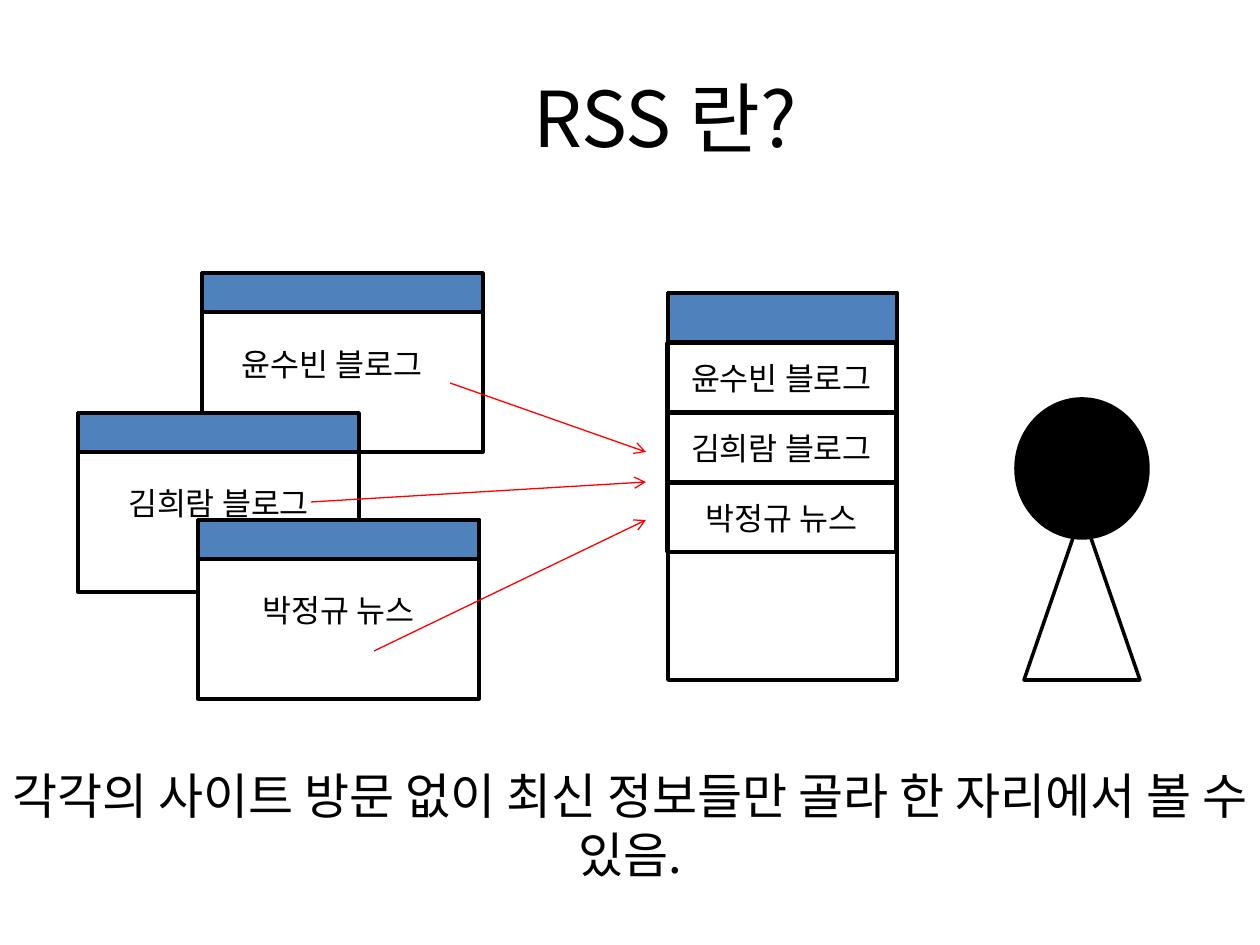
from lxml import etree
from pptx import Presentation
from pptx.dml.color import RGBColor
from pptx.enum.shapes import MSO_CONNECTOR, MSO_SHAPE
from pptx.enum.text import MSO_ANCHOR, MSO_AUTO_SIZE, PP_ALIGN
from pptx.oxml.ns import qn
from pptx.util import Pt

RECTANGLE = MSO_SHAPE.RECTANGLE
TRIANGLE = MSO_SHAPE.ISOSCELES_TRIANGLE
OVAL = MSO_SHAPE.OVAL
STRAIGHT = MSO_CONNECTOR.STRAIGHT
MIDDLE = MSO_ANCHOR.MIDDLE
LEFT, CENTER = PP_ALIGN.LEFT, PP_ALIGN.CENTER
NO_AUTOSIZE = MSO_AUTO_SIZE.NONE

BLACK = RGBColor(0x00, 0x00, 0x00)
WHITE = RGBColor(0xFF, 0xFF, 0xFF)
BLUE = RGBColor(0x4F, 0x81, 0xBD)
RED = RGBColor(0xFF, 0x00, 0x00)

EMU_PER_PIXEL = 914400 / 126


def emu(*pixels):
    return [round(value * EMU_PER_PIXEL) for value in pixels]


class SlideBuilder:
    """Draws styled elements on the current slide."""

    font = "Noto Sans CJK KR"
    body_size = 18

    def __init__(self, slide):
        self.slide = slide

    def add_run(self, frame, text, size, align):
        frame.word_wrap = True
        paragraph = frame.paragraphs[0]
        paragraph.alignment = align
        run = paragraph.add_run()
        run.text = text
        run.font.name = self.font
        run.font.size = Pt(size)
        run.font.color.rgb = BLACK
        properties = run.font._element
        etree.SubElement(properties, qn("a:ea"), typeface=self.font)

    def title(self, text, box, size):
        title = self.slide.shapes.title
        title.left, title.top, title.width, title.height = emu(*box)
        title.text_frame.auto_size = NO_AUTOSIZE
        title.text_frame.vertical_anchor = MIDDLE
        self.add_run(title.text_frame, text, size, CENTER)

    def text(self, text, box, size=body_size, align=LEFT, wrap=True):
        text_box = self.slide.shapes.add_textbox(*emu(*box))
        self.add_run(text_box.text_frame, text, size, align)
        text_box.text_frame.word_wrap = wrap

    def shape(self, kind, box, fill=None, text=None):
        shape = self.slide.shapes.add_shape(kind, *emu(*box))
        shape.shadow.inherit = False
        if fill is None:
            shape.fill.background()
        else:
            shape.fill.solid()
            shape.fill.fore_color.rgb = fill
        shape.line.color.rgb = BLACK
        shape.line.width = Pt(2)
        if text:
            shape.text_frame.vertical_anchor = MIDDLE
            self.add_run(shape.text_frame, text, self.body_size, CENTER)

    def window(self, box, bar_height, text=None):
        left, top, width, _ = box
        self.shape(RECTANGLE, box, WHITE, text)
        self.shape(RECTANGLE, (left, top, width, bar_height), BLUE)

    def arrow(self, start, end):
        connector = self.slide.shapes.add_connector(STRAIGHT, *emu(*start, *end))
        connector.line.color.rgb = RED
        connector.line.width = Pt(0.75)
        line = connector.line._get_or_add_ln()
        etree.SubElement(line, qn("a:tailEnd"), type="arrow")
        etree.SubElement(connector._element.spPr, qn("a:effectLst"))


presentation = Presentation()
presentation.slide_width, presentation.slide_height = emu(1260, 945)
builder = SlideBuilder(presentation.slides.add_slide(presentation.slide_layouts[5]))

builder.title("RSS 란?", (98, 38, 1134, 157), 44)

sources = ["윤수빈 블로그", "김희람 블로그", "박정규 뉴스"]
window_places = [(202, 273, None), (78, 413, sources[1]), (198, 520, sources[2])]
for left, top, text in window_places:
    builder.window((left, top, 281, 179), 39, text)

for start, end_y in [((450, 383), 452), ((311, 502), 482), ((374, 651), 520)]:
    builder.arrow(start, (646, end_y))

builder.window((668, 293, 229, 387), 49)
builder.shape(TRIANGLE, (1024, 512, 116, 168))
builder.shape(OVAL, (1016, 399, 132, 139), BLACK)

builder.text(sources[0], (229, 339, 228, 50), wrap=False)
for row, source in enumerate(sources):
    builder.shape(RECTANGLE, (667, 343 + 70 * row, 229, 69), text=source)

builder.text("각각의 사이트 방문 없이 최신 정보들만 골라 한 자리에서 볼 수 있음.",
             (0, 759, 1260, 131), 28, CENTER)

presentation.save("out.pptx")
